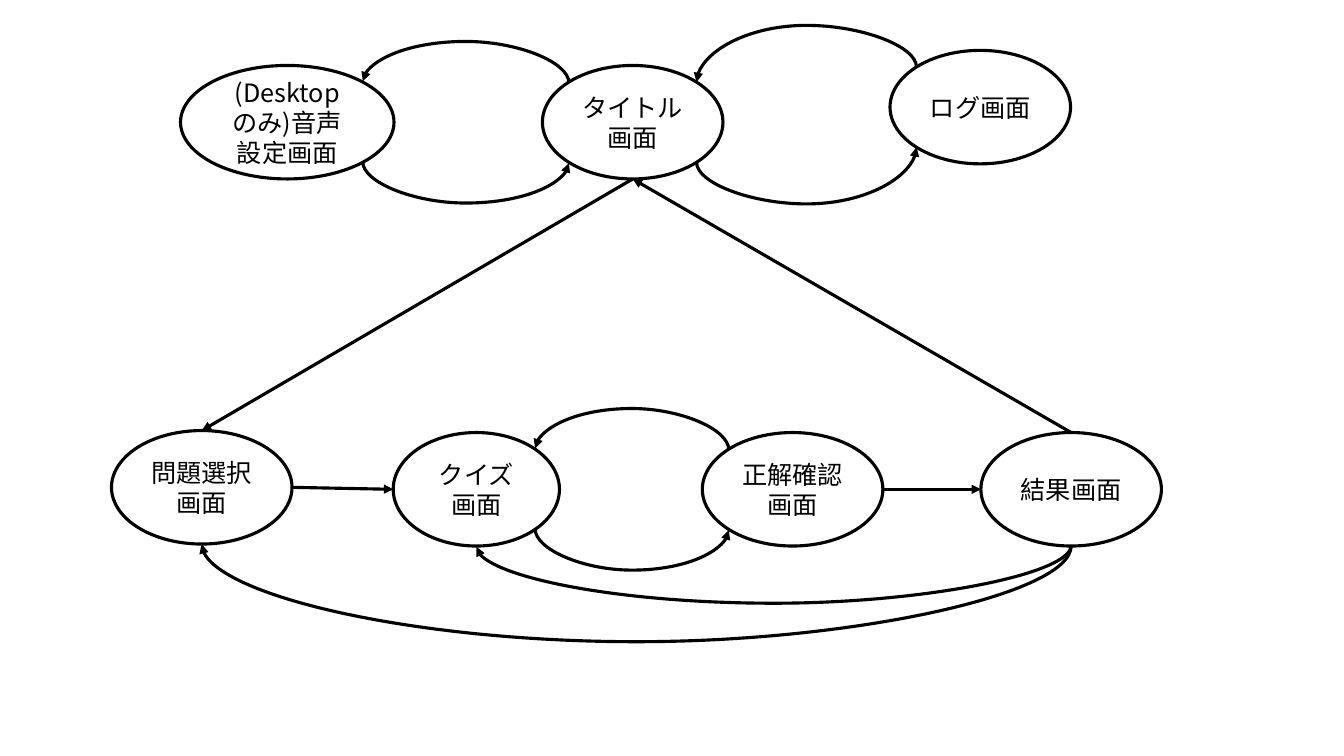
"""Build the slide of quiz application screens and the transitions between them."""
import dataclasses
import enum
import math

import lxml.etree
import pptx
import pptx.dml.color
import pptx.enum.shapes
import pptx.enum.text
import pptx.oxml.ns
import pptx.shapes.autoshape
import pptx.shapes.connector
import pptx.slide
import pptx.util

FONT = "Noto Sans CJK JP"
INK = "000000"
PAPER = "FFFFFF"
LINE_WIDTH = pptx.util.Pt(2.25)
SCREEN_HEIGHT = 2.86
SMALLEST_RUN = pptx.util.Pt(1)


class Site(enum.IntEnum):
    """Connection sites of an ellipse, counterclockwise from the top."""

    TOP = 0
    TOP_LEFT = 1
    LEFT = 2
    BOTTOM_LEFT = 3
    BOTTOM = 4
    BOTTOM_RIGHT = 5
    RIGHT = 6
    TOP_RIGHT = 7


@dataclasses.dataclass(frozen=True)
class Screen:
    """An application screen, placed in centimetres."""

    name: str
    label: str
    left: float
    top: float
    width: float = 4.55


@dataclasses.dataclass(frozen=True)
class Transition:
    """An arrow between two screens; a bulge in centimetres makes it curved."""

    source: str
    source_site: Site
    target: str
    target_site: Site
    bulge: float = 0


SCREENS = [
    Screen("title", "タイトル画面", 13.67, 1.65),
    Screen("log", "ログ画面", 22.43, 1.27),
    Screen("audio", "(Desktop のみ)音声設定画面", 4.55, 1.65, 5.38),
    Screen("select", "問題選択画面", 2.81, 10.85),
    Screen("result", "結果画面", 24.72, 10.9),
    Screen("check", "正解確認画面", 17.7, 10.9),
    Screen("quiz", "クイズ画面", 9.91, 10.9, 4.19),
]

NEIGHBOURS = [("audio", "title"), ("title", "log"), ("quiz", "check")]

TRANSITIONS = [
    transition
    for left, right in NEIGHBOURS
    for transition in (
        Transition(left, Site.BOTTOM_RIGHT, right, Site.BOTTOM_LEFT, 1.05),
        Transition(right, Site.TOP_LEFT, left, Site.TOP_RIGHT, -1.05),
    )
] + [
    Transition("title", Site.BOTTOM, "select", Site.TOP),
    Transition("select", Site.RIGHT, "quiz", Site.LEFT),
    Transition("check", Site.RIGHT, "result", Site.LEFT),
    Transition("result", Site.BOTTOM, "select", Site.BOTTOM, 2.41),
    Transition("result", Site.TOP, "title", Site.BOTTOM),
    Transition("result", Site.BOTTOM, "quiz", Site.BOTTOM, 1.47),
]


def color(value: str) -> pptx.dml.color.RGBColor:
    """Turn a hex string into a colour."""
    return pptx.dml.color.RGBColor.from_string(value)


def add_element(parent: lxml.etree._Element, tag: str, **values: str) -> lxml.etree._Element:
    """Append a child element with the given attributes."""
    return lxml.etree.SubElement(parent, pptx.oxml.ns.qn(tag), values)


def draw_screen(page: pptx.slide.Slide, screen: Screen) -> pptx.shapes.autoshape.Shape:
    """Draw a labelled ellipse for a screen."""
    box = page.shapes.add_shape(
        pptx.enum.shapes.MSO_SHAPE.OVAL,
        *map(pptx.util.Cm, (screen.left, screen.top, screen.width, SCREEN_HEIGHT)),
    )
    box.shadow.inherit = False
    box.fill.solid()
    box.fill.fore_color.rgb = color(PAPER)
    box.line.color.rgb = color(INK)
    box.line.width = LINE_WIDTH
    box.text_frame.word_wrap = True
    para = box.text_frame.paragraphs[0]
    para.alignment = pptx.enum.text.PP_ALIGN.CENTER
    span = para.add_run()
    span.text = screen.label
    for name, value in {"name": FONT, "size": pptx.util.Pt(18)}.items():
        setattr(span.font, name, value)
    span.font.color.rgb = color(INK)
    add_element(span.font._element, "a:ea", typeface=FONT)
    return box


def site_point(box: pptx.shapes.autoshape.Shape, site: Site) -> tuple[int, int]:
    """Find where a connection site lies on the slide."""
    angle = math.radians(90 + 45 * site)
    across = box.left + box.width / 2 * (1 + math.cos(angle))
    down = box.top + box.height / 2 * (1 - math.sin(angle))
    return round(across), round(down)


def draw_curve(
    page: pptx.slide.Slide, start: tuple[int, int], end: tuple[int, int], bulge: int
) -> pptx.shapes.connector.Connector:
    """Draw a curve that leaves vertically and reaches the bulge below its start."""
    rise = end[1] - start[1]
    run = rise if abs(rise) >= SMALLEST_RUN else int(math.copysign(SMALLEST_RUN, bulge))
    width, height = abs(run), abs(end[0] - start[0])
    left = (start[0] + end[0] - width) // 2
    top = (start[1] + end[1] - height) // 2
    arrow = page.shapes.add_connector(
        pptx.enum.shapes.MSO_CONNECTOR.CURVE, left, top, left + width, top + height
    )
    upward = bulge < 0
    frame = arrow._element.spPr.find(pptx.oxml.ns.qn("a:xfrm"))
    frame.set("rot", str((270 if upward else 90) * 60000))
    frame.set("flipH", str(int((run < 0) != upward)))
    frame.set("flipV", str(int((start[0] < end[0]) != upward)))
    guides = arrow._element.spPr.find(".//" + pptx.oxml.ns.qn("a:avLst"))
    add_element(guides, "a:gd", name="adj1", fmla=f"val {round(bulge / run * 100000)}")
    return arrow


def draw_transition(
    page: pptx.slide.Slide,
    boxes: dict[str, pptx.shapes.autoshape.Shape],
    transition: Transition,
) -> None:
    """Draw an arrow attached to the two screens."""
    source, target = boxes[transition.source], boxes[transition.target]
    start = site_point(source, transition.source_site)
    end = site_point(target, transition.target_site)
    if transition.bulge:
        arrow = draw_curve(page, start, end, pptx.util.Cm(transition.bulge))
    else:
        arrow = page.shapes.add_connector(
            pptx.enum.shapes.MSO_CONNECTOR.STRAIGHT, *start, *end
        )
    arrow.line.color.rgb = color(INK)
    arrow.line.width = LINE_WIDTH
    properties = arrow._element.spPr
    add_element(properties.find(pptx.oxml.ns.qn("a:ln")), "a:tailEnd", type="triangle")
    add_element(properties, "a:effectLst")
    joints = arrow._element.find(".//" + pptx.oxml.ns.qn("p:cNvCxnSpPr"))
    for tag, box, site in (
        ("a:stCxn", source, transition.source_site),
        ("a:endCxn", target, transition.target_site),
    ):
        add_element(joints, tag, id=str(box.shape_id), idx=str(int(site)))


def main() -> None:
    """Build and save the deck."""
    deck = pptx.Presentation()
    deck.slide_width = pptx.util.Cm(33.87)
    deck.slide_height = pptx.util.Cm(19.05)
    page = deck.slides.add_slide(deck.slide_layouts[6])
    boxes = {screen.name: draw_screen(page, screen) for screen in SCREENS}
    for transition in TRANSITIONS:
        draw_transition(page, boxes, transition)
    deck.save("out.pptx")


main()
